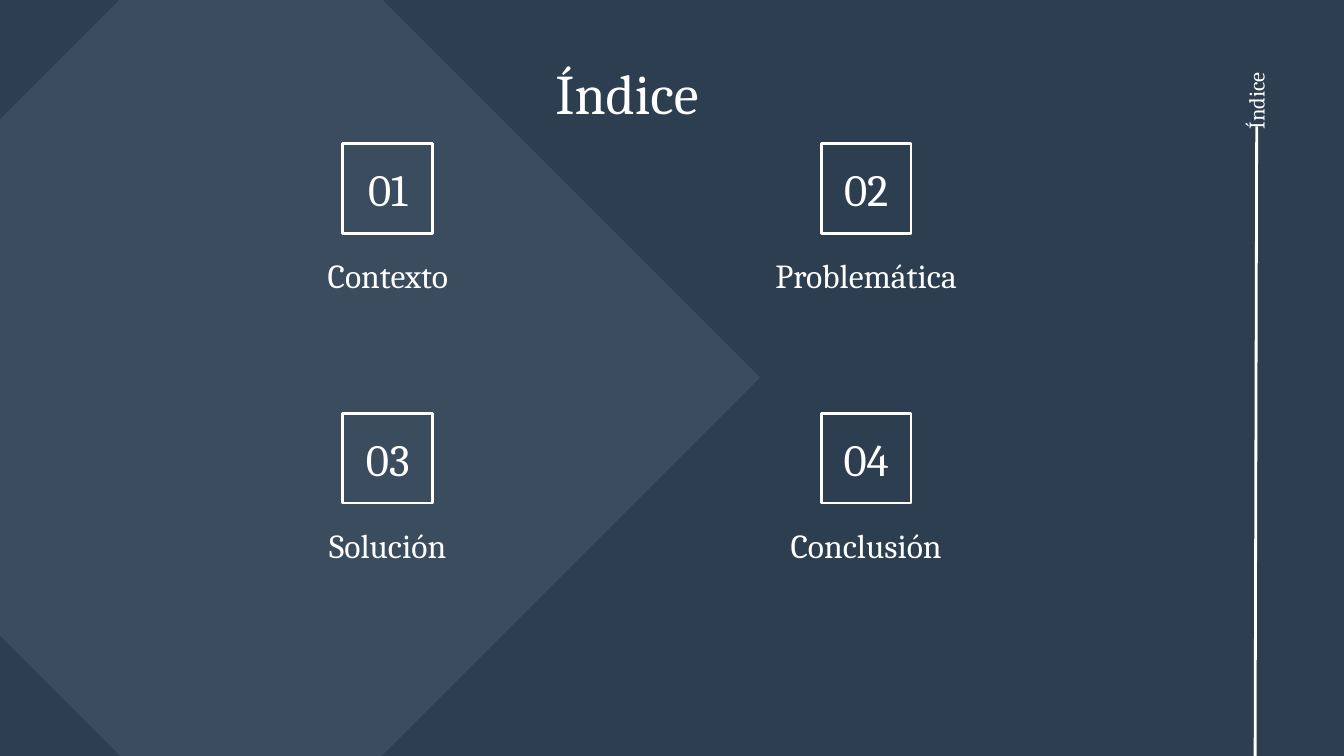
from lxml import etree
from pptx import Presentation
from pptx.dml.color import RGBColor
from pptx.enum import shapes, text
from pptx.oxml.ns import qn
from pptx.util import Cm, Pt

FONT, WHITE, NAVY, PALE = "Cambria", "FFFFFF", "2C3E50", "CFE2F3"
TOPICS = ["Contexto", "Problemática", "Solución", "Conclusión"]


def color(fmt, code):
    fmt.rgb = RGBColor.from_string(code)


def write(shape, words, size, align="CENTER", anchor="TOP"):
    frame = shape.text_frame
    frame.word_wrap = True
    frame.auto_size = text.MSO_AUTO_SIZE.NONE
    frame.vertical_anchor = getattr(text.MSO_ANCHOR, anchor)
    for side in ("left", "right", "top", "bottom"):
        setattr(frame, f"margin_{side}", Cm(0.25))
    frame.text = words
    para = frame.paragraphs[0]
    para.alignment = getattr(text.PP_ALIGN, align)
    para.font.name, para.font.size = FONT, Pt(size)
    color(para.font.color, WHITE)


def label(slide, box, words, size, **style):
    shape = slide.shapes.add_textbox(*map(Cm, box))
    write(shape, words, size, **style)
    return shape


def diamond(slide, box):
    shape = slide.shapes.add_shape(shapes.MSO_SHAPE.DIAMOND, *map(Cm, box))
    shape.shadow.inherit = False
    shape.line.fill.background()
    shape.fill.solid()
    color(shape.fill.fore_color, PALE)
    tone = shape.fill._xPr.find(qn("a:solidFill"))[0]
    etree.SubElement(tone, qn("a:alpha"), val="9000")


def topic(slide, left, top, width, num, name):
    """Framed number centred above its topic name."""
    side, wide = 1.7, 2.74
    mid = left + width / 2
    frame = slide.shapes.add_shape(shapes.MSO_SHAPE.RECTANGLE, Cm(mid - side / 2),
                                   Cm(top), Cm(side), Cm(side))
    frame.shadow.inherit = False
    frame.fill.background()
    color(frame.line.color, WHITE)
    frame.line.width = Pt(1.5)
    label(slide, (mid - wide / 2, top + 0.29, wide, 1.12), f"{num:02}", 24,
          anchor="MIDDLE")
    label(slide, (left, top + 1.86, width, 2.34), name, 18)


def grid(slide, left, top):
    for i, name in enumerate(TOPICS):
        row, col = divmod(i, 2)
        topic(slide, left + col * 9.04, top + row * 5.1, 7.7, i + 1, name)


def margin(slide, left, top, height):
    """Vertical rule with the section name turned to read upwards above it."""
    rule = slide.shapes.add_connector(shapes.MSO_CONNECTOR.STRAIGHT, Cm(left),
                                      Cm(top), Cm(left - 0.03), Cm(top + height))
    color(rule.line.color, WHITE)
    rule.line.width = Pt(1.5)
    etree.SubElement(rule._element.spPr, qn("a:effectLst"))
    wide, high = 12.04, 0.61
    name = label(slide, (left - 0.02 - wide / 2, top + 4.44, wide, high),
                 "Índice", 12, align="RIGHT", anchor="MIDDLE")
    name.rotation = 270


def heading(slide, left, top, width, height):
    title = slide.shapes.title
    title.left, title.top = Cm(left), Cm(top)
    title.width, title.height = Cm(width), Cm(height)
    write(title, "Índice", 30)


def main():
    deck = Presentation()
    deck.slide_width, deck.slide_height = Cm(25.4), Cm(14.29)
    slide = deck.slides.add_slide(deck.slide_layouts[5])
    slide.background.fill.solid()
    color(slide.background.fill.fore_color, NAVY)
    diamond(slide, (-4.88, -2.49, 19.25, 19.25))
    margin(slide, 23.75, 2.39, 11.9)
    grid(slide, 3.48, 2.71)
    heading(slide, 6.48, 0.86, 10.74, 1.7)
    deck.save("out.pptx")


if __name__ == "__main__":
    main()
